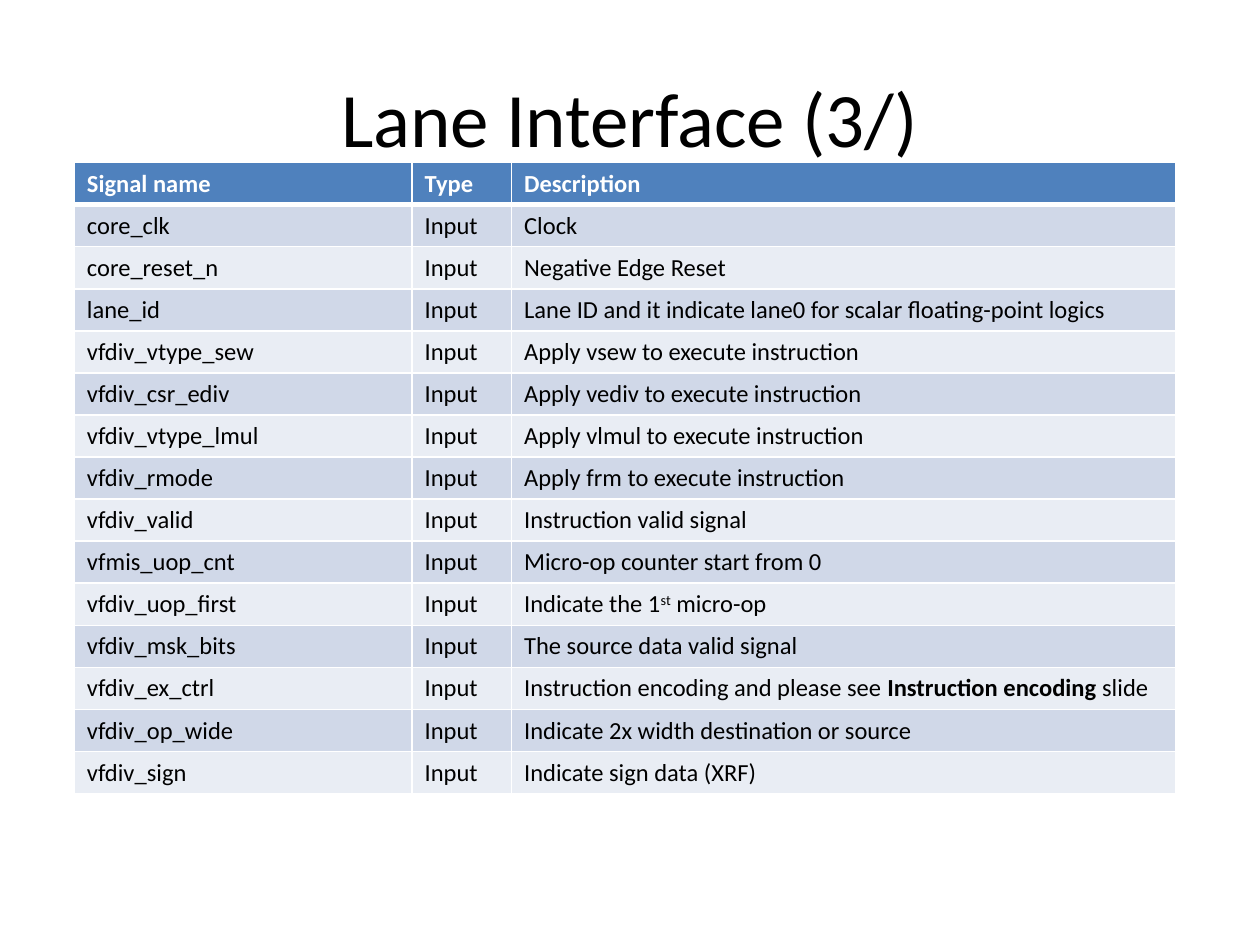
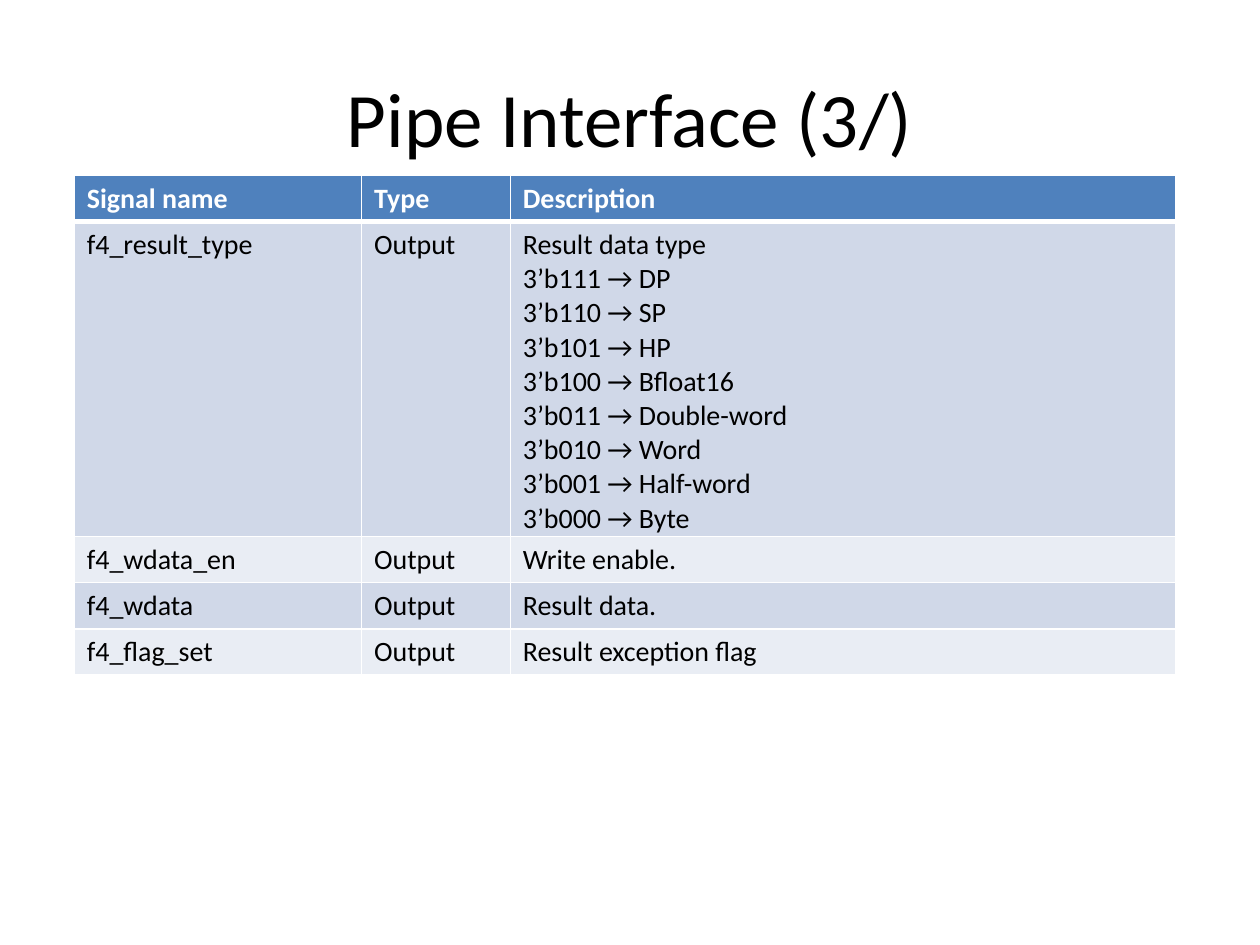
from dataclasses import dataclass
from typing import NamedTuple

from lxml import etree
from pptx import Presentation
from pptx.dml.color import RGBColor
from pptx.enum.text import MSO_ANCHOR, PP_ALIGN
from pptx.oxml.ns import qn
from pptx.util import Inches, Pt

MIDDLE = MSO_ANCHOR.MIDDLE
CENTER = PP_ALIGN.CENTER
GRID_COLUMNS, GRID_ROWS = 100, 75
TABLE_LEFT, TABLE_WIDTH = 5.9, 87.4
ROW_HEIGHT = 2.5


@dataclass(frozen=True)
class Theme:
    """Colours, font and type sizes of the deck."""

    font: str = "Calibri"
    text: str = "000000"
    header_text: str = "FFFFFF"
    header_fill: str = "4F81BD"
    bands: tuple = ("D0D8E8", "E9EDF4")
    rule: str = "FFFFFF"
    thin_rule: float = 1
    thick_rule: float = 3
    title_size: int = 44
    compact_size: int = 14
    regular_size: int = 16


class Piece(NamedTuple):
    """A stretch of text with its own emphasis."""

    text: str
    bold: bool = False
    raised: bool = False


class Deck:
    """Draws on the current slide in one style."""

    def __init__(self, theme):
        """Start an empty deck."""
        self.theme = theme
        self.presentation = Presentation()
        self.presentation.slide_width = Inches(10)
        self.presentation.slide_height = Inches(7.5)
        self.slide = None

    def across(self, columns):
        """Turn grid columns into a length."""
        return round(self.presentation.slide_width * columns / GRID_COLUMNS)

    def down(self, rows):
        """Turn grid rows into a length."""
        return round(self.presentation.slide_height * rows / GRID_ROWS)

    def new_slide(self, title):
        """Add a blank slide with its title."""
        layout = self.presentation.slide_layouts[6]
        self.slide = self.presentation.slides.add_slide(layout)
        heading = self.slide.shapes.add_textbox(
            self.across(5), self.down(3), self.across(90), self.down(12.5)
        ).text_frame
        heading.word_wrap = True
        heading.vertical_anchor = MIDDLE
        self.set_text(heading, title, self.theme.title_size, self.theme.text)
        heading.paragraphs[0].alignment = CENTER

    def set_text(self, frame, content, size, color, bold=False):
        """Fill a frame with lines of text or with emphasised pieces."""
        if isinstance(content, str):
            frame.text = content
        else:
            for piece in content:
                run = frame.paragraphs[0].add_run()
                run.text = piece.text
                if piece.bold:
                    run.font.bold = True
                if piece.raised:
                    run.font._element.set("baseline", "30000")
        for paragraph in frame.paragraphs:
            paragraph.font.name = self.theme.font
            paragraph.font.size = Pt(size)
            paragraph.font.bold = bold
            paragraph.font.color.rgb = RGBColor.from_string(color)

    def border(self, cell, side, width):
        """Rule one side of a cell."""
        properties = cell._tc.get_or_add_tcPr()
        line = etree.SubElement(properties, qn(f"a:ln{side}"), w=str(Pt(width)))
        fill = etree.SubElement(line, qn("a:solidFill"))
        etree.SubElement(fill, qn("a:srgbClr"), val=self.theme.rule)

    def signal_table(self, top, name_width, type_width, size, signals):
        """Add a banded table of signals below a header row."""
        theme = self.theme
        entries = [("Signal name", "Type", "Description"), *signals]
        widths = (name_width, type_width, TABLE_WIDTH - name_width - type_width)
        table = self.slide.shapes.add_table(
            len(entries), len(widths), self.across(TABLE_LEFT), self.down(top),
            self.across(TABLE_WIDTH), self.down(ROW_HEIGHT * len(entries)),
        ).table
        for column, width in zip(table.columns, widths):
            column.width = self.across(width)
        for index, entry in enumerate(entries):
            header = index == 0
            fill = theme.header_fill if header else theme.bands[(index - 1) % 2]
            color = theme.header_text if header else theme.text
            rules = {side: theme.thin_rule for side in "LRTB"}
            if header:
                rules["B"] = theme.thick_rule
            elif index == 1:
                rules["T"] = theme.thick_rule
            for cell, content in zip(table.rows[index].cells, entry):
                for side, width in rules.items():
                    self.border(cell, side, width)
                cell.fill.solid()
                cell.fill.fore_color.rgb = RGBColor.from_string(fill)
                self.set_text(cell.text_frame, content, size, color, header)


LANE_SIGNALS = [
    ("core_clk", "Clock"),
    ("core_reset_n", "Negative Edge Reset"),
    ("lane_id", "Lane ID and it indicate lane0 for scalar floating-point logics"),
    ("vfdiv_vtype_sew", "Apply vsew to execute instruction"),
    ("vfdiv_csr_ediv", "Apply vediv to execute instruction"),
    ("vfdiv_vtype_lmul", "Apply vlmul to execute instruction"),
    ("vfdiv_rmode", "Apply frm to execute instruction"),
    ("vfdiv_valid", "Instruction valid signal"),
    ("vfmis_uop_cnt", "Micro-op counter start from 0"),
    ("vfdiv_uop_first",
     [Piece("Indicate the 1"), Piece("st", raised=True), Piece(" micro-op")]),
    ("vfdiv_msk_bits", "The source data valid signal"),
    ("vfdiv_ex_ctrl",
     [Piece("Instruction encoding and please see "),
      Piece("Instruction encoding ", bold=True), Piece("slide")]),
    ("vfdiv_op_wide", "Indicate 2x width destination or source"),
    ("vfdiv_sign", "Indicate sign data (XRF)"),
]

RESULT_TYPES = ["DP", "SP", "HP", "Bfloat16", "Double-word", "Word", "Half-word", "Byte"]
RESULT_CODES = [
    f"3’b{7 - index:03b} → {result}" for index, result in enumerate(RESULT_TYPES)
]

PIPE_SIGNALS = [
    ("f4_result_type", "\n".join(["Result data type", *RESULT_CODES])),
    ("f4_wdata_en", "Write enable."),
    ("f4_wdata", "Result data."),
    ("f4_flag_set", "Result exception flag"),
]


def with_type(direction, signals):
    """Put the signal direction between name and description."""
    return [(name, direction, description) for name, description in signals]


def main():
    """Build and save the deck."""
    theme = Theme()
    deck = Deck(theme)

    deck.new_slide("Lane Interface (3/)")
    deck.signal_table(12.9, 26.8, 7.9, theme.compact_size,
                      with_type("Input", LANE_SIGNALS))

    deck.new_slide("Pipe Interface (3/)")
    deck.signal_table(13.9, 22.8, 11.8, theme.regular_size,
                      with_type("Output", PIPE_SIGNALS))

    deck.presentation.save("out.pptx")


if __name__ == "__main__":
    main()
